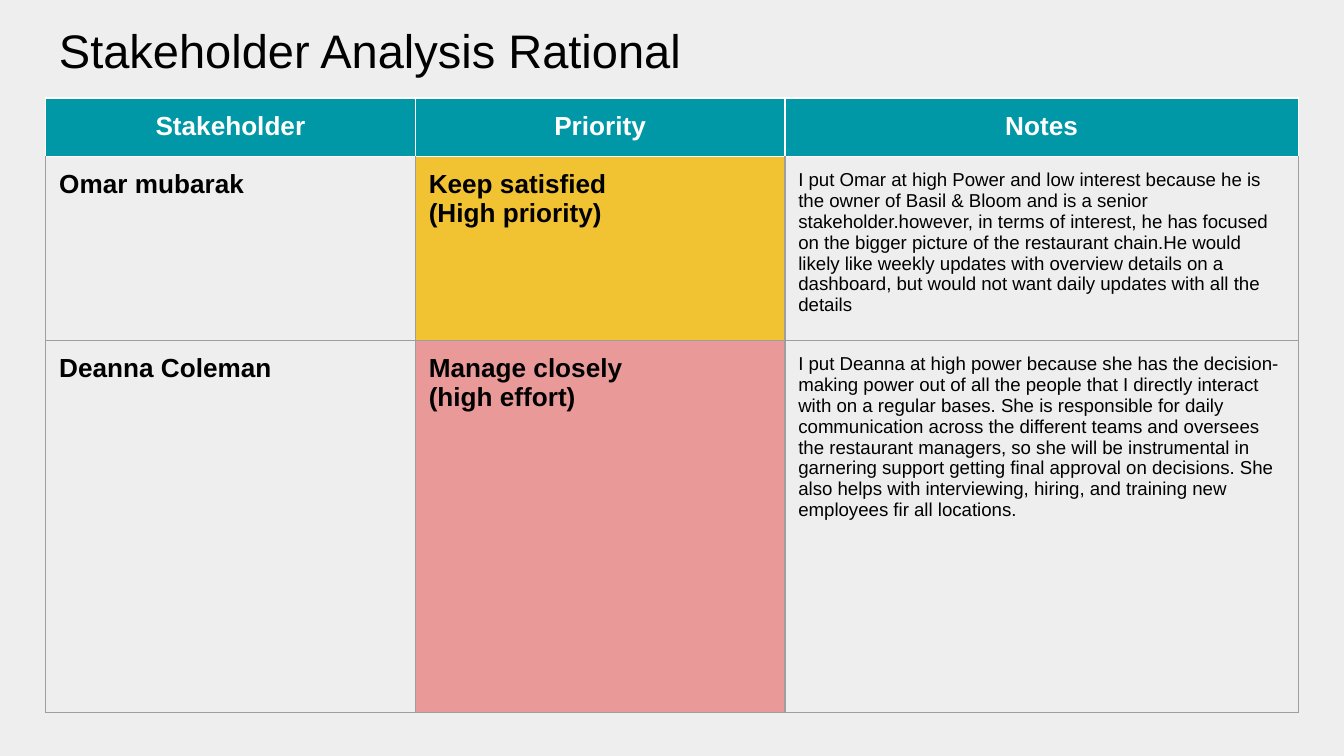
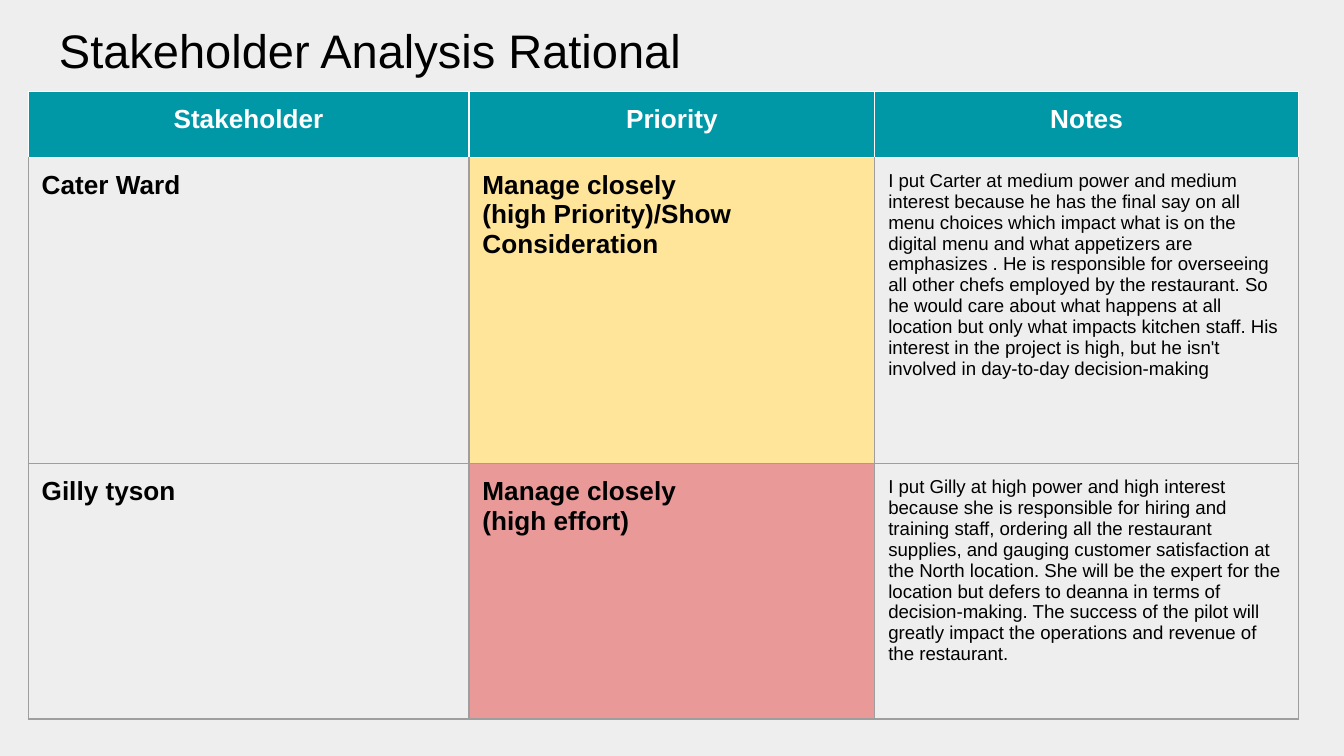
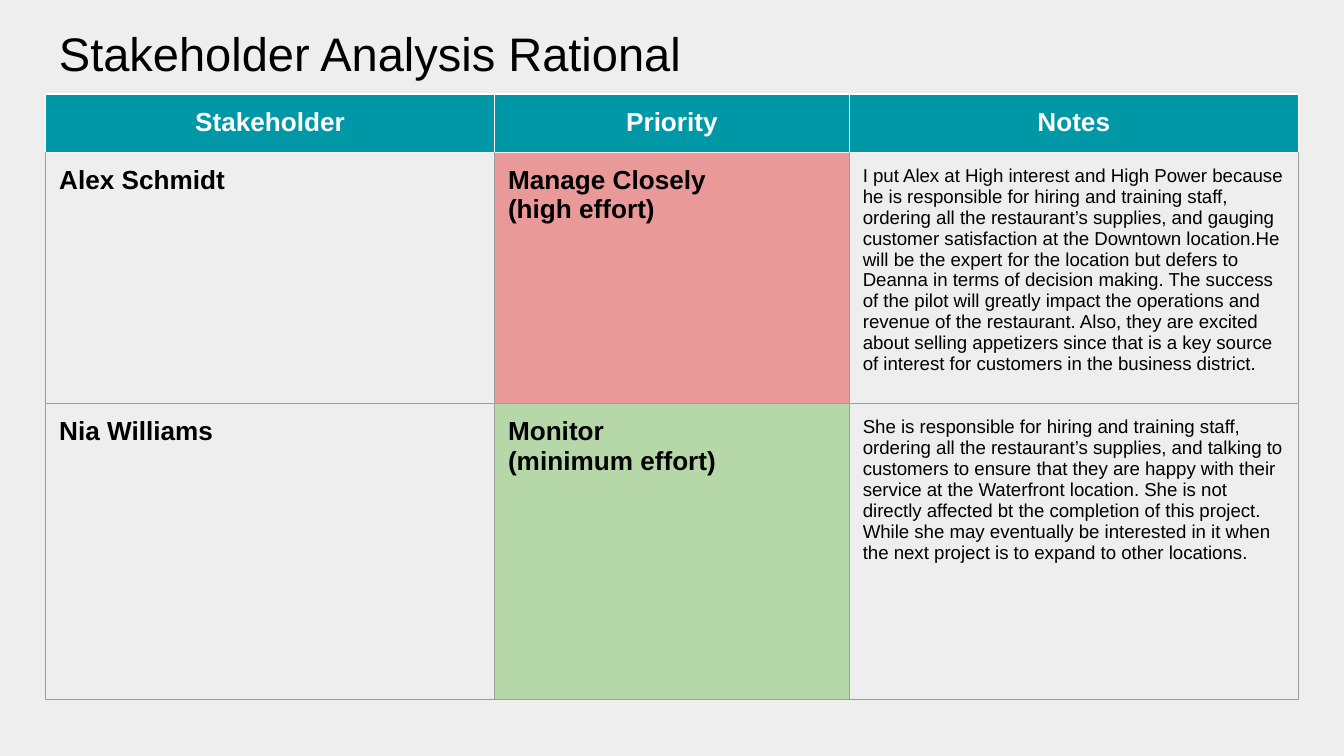
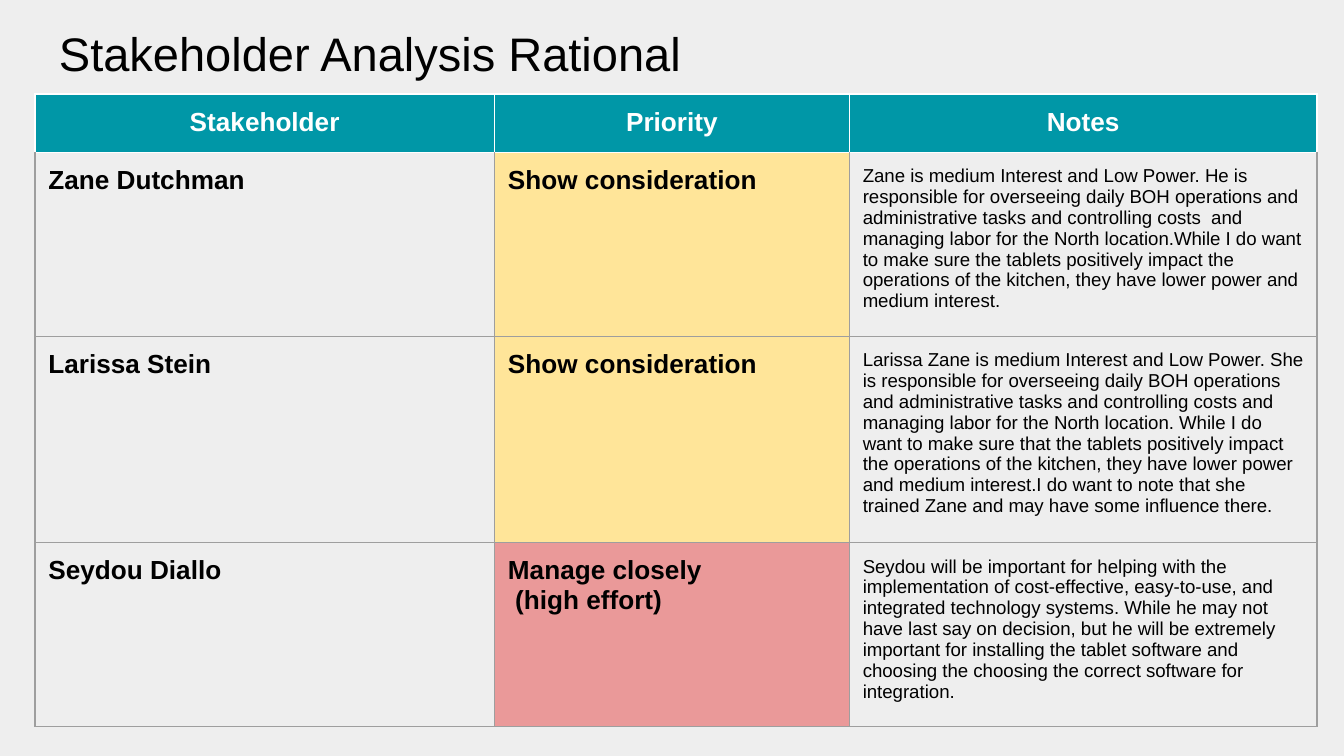
from lxml.etree import SubElement
from pptx import Presentation
from pptx.dml.color import RGBColor
from pptx.enum.text import MSO_ANCHOR, PP_ALIGN
from pptx.oxml.ns import qn
from pptx.util import Inches, Pt

BACKGROUND = RGBColor(0xEE, 0xEE, 0xEE)
BLACK = RGBColor(0x00, 0x00, 0x00)
WHITE = RGBColor(0xFF, 0xFF, 0xFF)
TEAL = RGBColor(0x00, 0x97, 0xA7)
GRID = RGBColor(0x9E, 0x9E, 0x9E)
AMBER = RGBColor(0xF1, 0xC2, 0x32)
YELLOW = RGBColor(0xFF, 0xE5, 0x99)
RED = RGBColor(0xEA, 0x99, 0x99)
GREEN = RGBColor(0xB6, 0xD7, 0xA8)

FONT = "Arial"
INSET = Inches(0.1)
TITLE = "Stakeholder Analysis Rational"
HEADERS = ("Stakeholder", "Priority", "Notes")

SLIDES = [
    {
        "title_top": 0.05, "table_at": (0.34, 0.73),
        "cols": (2.75, 2.75, 3.82), "rows": (0.42, 0.42, 2.77),
        "stakeholders": [
            ("Omar mubarak", ["Keep satisfied", "(High priority)"], AMBER,
             "I put Omar at high Power and low interest because he is the owner of "
             "Basil & Bloom and is a senior stakeholder.however, in terms of interest, "
             "he has focused on the bigger picture of the restaurant chain.He would "
             "likely like weekly updates with overview details on a dashboard, but "
             "would not want daily updates with all the details"),
            ("Deanna Coleman", ["Manage closely", "(high effort)"], RED,
             "I put Deanna at high power because she has the decision-making power out "
             "of all the people that I directly interact with on a regular bases. She "
             "is responsible for daily communication across the different teams and "
             "oversees the restaurant managers, so she will be instrumental in "
             "garnering support getting final approval on decisions. She also helps "
             "with interviewing, hiring, and training new employees fir all locations."),
        ],
    },
    {
        "title_top": 0.05, "table_at": (0.21, 0.68),
        "cols": (3.28, 3.02, 3.15), "rows": (0.49, 2.28, 1.9),
        "stakeholders": [
            ("Cater Ward", ["Manage closely", "(high Priority)/Show Consideration"], YELLOW,
             "I put Carter at medium power and medium interest because he has the final "
             "say on all menu choices which impact what is on the digital menu and what "
             "appetizers are emphasizes . He is responsible for overseeing all other "
             "chefs employed by the restaurant. So he would care about what happens at "
             "all location but only what impacts kitchen staff. His interest in the "
             "project is high, but he isn't involved in day-to-day decision-making"),
            ("Gilly tyson", ["Manage closely", "(high effort)"], RED,
             "I put Gilly at high power and high interest because she is responsible "
             "for hiring and training staff, ordering all the restaurant supplies, and "
             "gauging customer satisfaction at the North location. She will be the "
             "expert for the location but defers to deanna in terms of "
             "decision-making. The success of the pilot will greatly impact the "
             "operations and revenue of the restaurant."),
        ],
    },
    {
        "title_top": 0.07, "table_at": (0.34, 0.7),
        "cols": (3.34, 2.64, 3.34), "rows": (0.42, 0.42, 2.2),
        "stakeholders": [
            ("Alex Schmidt", ["Manage Closely", "(high effort)"], RED,
             "I put Alex at High interest and High Power because he is responsible for "
             "hiring and training staff, ordering all the restaurant’s supplies, and "
             "gauging customer satisfaction at the Downtown location.He will be the "
             "expert for the location but defers to Deanna in terms of decision making. "
             "The success of the pilot will greatly impact the operations and revenue "
             "of the restaurant. Also, they are excited about selling appetizers since "
             "that is a key source of interest for customers in the business district."),
            ("Nia Williams", ["Monitor", "(minimum effort)"], GREEN,
             "She is responsible for hiring and training staff, ordering all the "
             "restaurant’s supplies, and talking to customers to ensure that they are "
             "happy with their service at the Waterfront location. She is not directly "
             "affected bt the completion of this project. While she may eventually be "
             "interested in it when the next project is to expand to other locations."),
        ],
    },
    {
        "title_top": 0.07, "table_at": (0.26, 0.7),
        "cols": (3.42, 2.64, 3.48), "rows": (0.42, 0.42, 0.42, 0.66),
        "stakeholders": [
            ("Zane Dutchman", ["Show consideration"], YELLOW,
             "Zane is medium Interest and Low Power. He is responsible for overseeing "
             "daily BOH operations and administrative tasks and controlling costs  and "
             "managing labor for the North location.While I do want to make sure the "
             "tablets positively impact the operations of the kitchen, they have lower "
             "power and medium interest."),
            ("Larissa Stein", ["Show consideration"], YELLOW,
             "Larissa Zane is medium Interest and Low Power. She is responsible for "
             "overseeing daily BOH operations and administrative tasks and controlling "
             "costs and managing labor for the North location. While I do want to make "
             "sure that the tablets positively impact the operations of the kitchen, "
             "they have lower power and medium interest.I do want to note that she "
             "trained Zane and may have some influence there."),
            ("Seydou Diallo", ["Manage closely", " (high effort)"], RED,
             "Seydou will be important for helping with the implementation of "
             "cost-effective, easy-to-use, and integrated technology systems. While he "
             "may not have last say on decision, but he will be extremely important for "
             "installing the tablet software and choosing the choosing the correct "
             "software for integration."),
        ],
    },
]


def write_lines(tf, lines, size, color=BLACK, bold=False, align=PP_ALIGN.LEFT):
    """Write each line as one paragraph with one run."""
    tf.word_wrap = True
    for i, line in enumerate(lines):
        p = tf.paragraphs[0] if i == 0 else tf.add_paragraph()
        p.alignment = align
        r = p.add_run()
        r.text = line
        r.font.name = FONT
        r.font.size = Pt(size)
        r.font.bold = bold
        r.font.color.rgb = color
        SubElement(p._p, qn("a:endParaRPr"), sz=str(round(size * 100)))


def set_borders(cell, color, top):
    """Draw the four cell borders, the top one in its own colour."""
    tcPr = cell._tc.get_or_add_tcPr()
    for side, rgb in (("L", color), ("R", color), ("T", top), ("B", color)):
        ln = SubElement(tcPr, qn(f"a:ln{side}"), w=str(Pt(0.75)))
        fill = SubElement(ln, qn("a:solidFill"))
        SubElement(fill, qn("a:srgbClr"), val=str(rgb))


def fill_cell(cell, lines, size, fill=None, border=GRID, top=GRID, **style):
    """Format one table cell and write its text."""
    cell.margin_left = cell.margin_right = INSET
    cell.margin_top = cell.margin_bottom = INSET
    set_borders(cell, border, top)
    if fill is None:
        cell.fill.background()
    else:
        cell.fill.solid()
        cell.fill.fore_color.rgb = fill
    write_lines(cell.text_frame, lines, size, **style)


def add_title(s, top):
    """Add the slide title."""
    sp = s.shapes.add_textbox(Inches(0.34), Inches(top), Inches(9.32), Inches(0.63))
    tf = sp.text_frame
    tf.margin_left = tf.margin_right = tf.margin_top = tf.margin_bottom = INSET
    tf.vertical_anchor = MSO_ANCHOR.BOTTOM
    write_lines(tf, [TITLE], 25.2)


def add_stakeholder_table(s, at, cols, rows, stakeholders):
    """Add the table of stakeholders, priorities and notes."""
    left, top = at
    frame = s.shapes.add_table(len(rows), len(cols), Inches(left), Inches(top),
                               Inches(sum(cols)), Inches(sum(rows)))
    table = frame.table
    table.first_row = table.horz_banding = False
    for col, width in zip(table.columns, cols):
        col.width = Inches(width)
    for row, height in zip(table.rows, rows):
        row.height = Inches(height)
    for c, header in enumerate(HEADERS):
        fill_cell(table.cell(0, c), [header], 14, TEAL, WHITE, WHITE,
                  color=WHITE, bold=True, align=PP_ALIGN.CENTER)
    for i, (name, priority, priority_fill, notes) in enumerate(stakeholders, 1):
        edge = WHITE if i == 1 else GRID
        fill_cell(table.cell(i, 0), [name], 14, top=edge, bold=True)
        fill_cell(table.cell(i, 1), priority, 14, priority_fill, top=edge, bold=True)
        fill_cell(table.cell(i, 2), [notes], 10, top=edge)


def add_analysis_slide(prs, content):
    """Add one slide with its title and stakeholder table."""
    s = prs.slides.add_slide(prs.slide_layouts[6])
    s.background.fill.solid()
    s.background.fill.fore_color.rgb = BACKGROUND
    add_title(s, content["title_top"])
    add_stakeholder_table(s, content["table_at"], content["cols"],
                          content["rows"], content["stakeholders"])


def main():
    """Build and save the presentation."""
    prs = Presentation()
    prs.slide_width = Inches(10)
    prs.slide_height = prs.slide_width * 9 // 16
    for content in SLIDES:
        add_analysis_slide(prs, content)
    prs.save("out.pptx")


if __name__ == "__main__":
    main()
